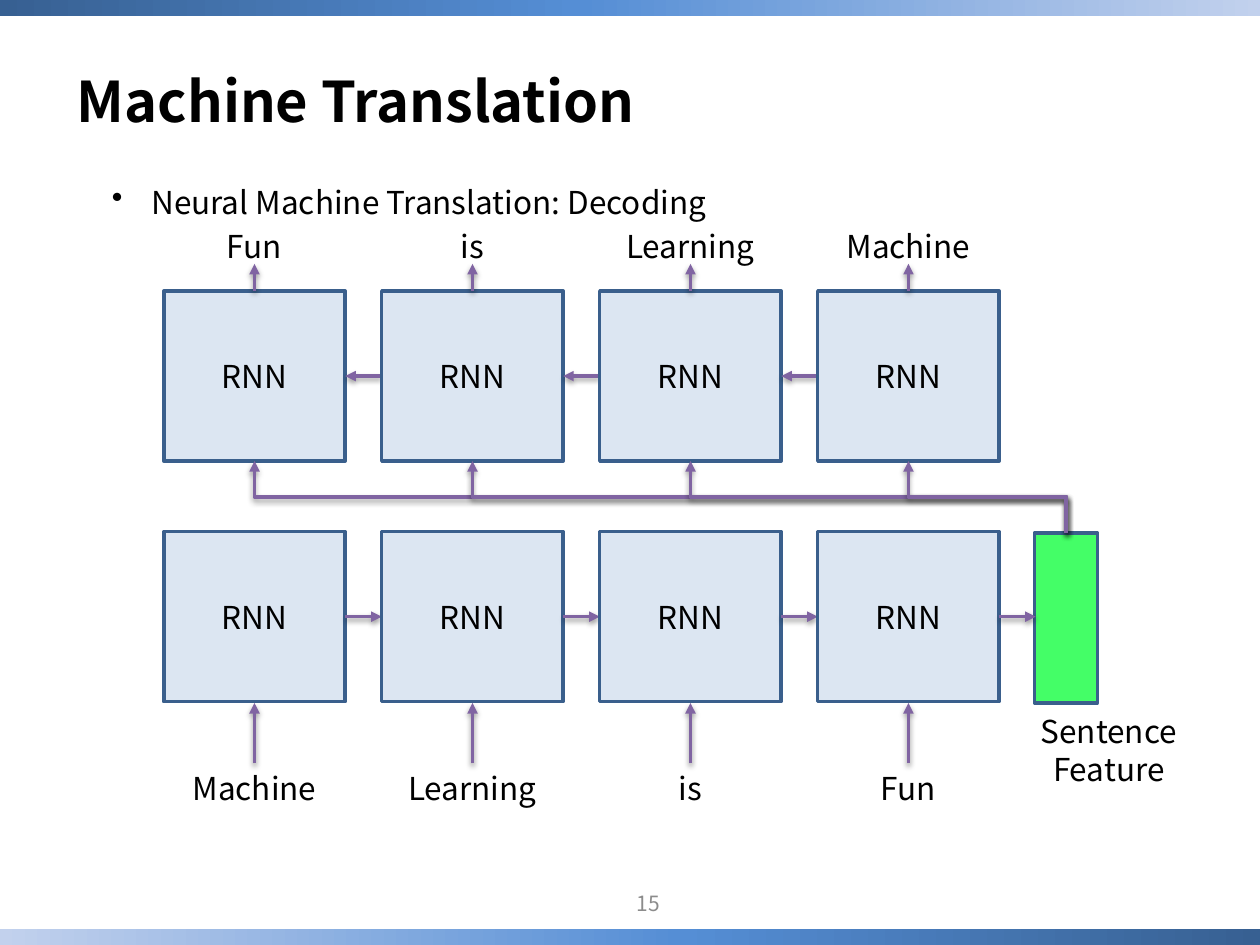
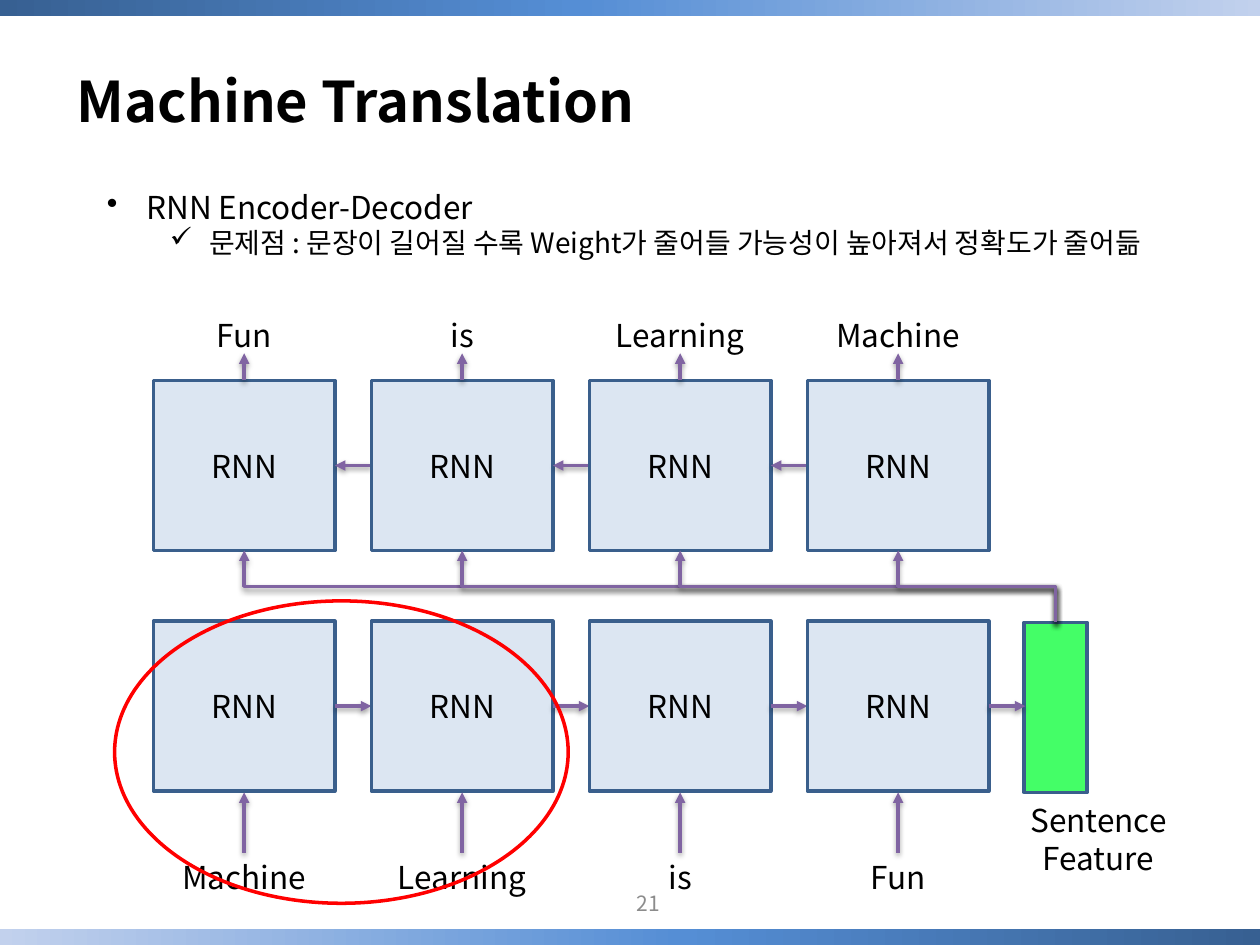
from copy import deepcopy

from lxml.etree import SubElement
from pptx import Presentation
from pptx.dml.color import RGBColor
from pptx.enum.shapes import MSO_CONNECTOR, MSO_SHAPE
from pptx.enum.text import MSO_ANCHOR, PP_ALIGN
from pptx.oxml.ns import qn
from pptx.util import Pt

FONT = "Noto Sans CJK KR"
BLACK, GREY, RED = "000000", "8C8C8C", "FF0000"
BOX_FILL, BOX_LINE, FEATURE_FILL = "DCE6F2", "3A5F8C", "44FE67"
ARROW = "8064A2"
BAND_STOPS = [(0, "376092"), (0.46, "558ED5"), (1, "C2D1ED")]

SENTENCE = ["Machine", "Learning", "is", "Fun"]
STEP = 124.56
BOX_WIDTH, BOX_HEIGHT = 103.68, 97.2
LABEL_WIDTH, LABEL_HEIGHT = 146.88, 29
ENCODER_DROP = 137.5
FEATURE_SHIFT, FEATURE_WIDTH = 497.5, 36


def color(hex_text):
    return RGBColor.from_string(hex_text)


def write(frame, lines, size=18, ink=BLACK, bold=False, align=PP_ALIGN.CENTER,
          anchor=MSO_ANCHOR.TOP):
    """Fill a text frame; each line becomes one paragraph."""
    frame.word_wrap = True
    frame.vertical_anchor = anchor
    for index, line in enumerate(lines):
        para = frame.add_paragraph() if index else frame.paragraphs[0]
        para.alignment = align
        span = para.add_run()
        span.text = line
        span.font.name, span.font.size, span.font.bold = FONT, Pt(size), bold
        span.font.color.rgb = color(ink)
        SubElement(span.font._element, qn("a:ea"), typeface=FONT)


def set_bullet(para, symbol, margin, hanging):
    properties = para._p.get_or_add_pPr()
    properties.set("marL", str(Pt(margin)))
    properties.set("indent", str(-Pt(hanging)))
    SubElement(properties, qn("a:buChar"), char=symbol)


class Lecture:
    def __init__(self):
        self.deck = Presentation()
        self.deck.slide_width, self.deck.slide_height = Pt(720), Pt(540)
        self.page = None

    def new_page(self, title, number):
        self.page = self.deck.slides.add_slide(self.deck.slide_layouts[5])
        if len(self.deck.slides) == 1:
            self.master_band(0)
            self.master_band(531, rotation=180)
        heading = self.page.shapes.title
        heading.left, heading.top = Pt(36.7), Pt(37.4)
        heading.width, heading.height = Pt(692), Pt(39.6)
        write(heading.text_frame, [title], size=32, bold=True,
              align=PP_ALIGN.LEFT, anchor=MSO_ANCHOR.MIDDLE)
        self.text([str(number)], 286.6, 501.8, 167.8, 28.8, size=12, ink=GREY,
                  anchor=MSO_ANCHOR.MIDDLE)

    def master_band(self, top, rotation=0):
        """Draw a gradient band and move it to the slide master."""
        band = self.shape(0, top, 720, 9)
        band.rotation = rotation
        band.fill.gradient()
        band.fill.gradient_angle = 0
        stop_list = band._element.spPr.find(".//" + qn("a:gsLst"))
        stop_list.append(deepcopy(stop_list[0]))
        for stop, (position, tint) in zip(band.fill.gradient_stops, BAND_STOPS):
            stop.position = position
            stop.color.rgb = color(tint)
        self.deck.slide_master.shapes._spTree.insert(2, band._element)

    def text(self, lines, left, top, width, height, **style):
        box = self.page.shapes.add_textbox(Pt(left), Pt(top), Pt(width), Pt(height))
        write(box.text_frame, lines, **style)
        return box.text_frame

    def shape(self, left, top, width, height, kind=MSO_SHAPE.RECTANGLE,
              fill=None, line=None, label=None):
        shape = self.page.shapes.add_shape(kind, Pt(left), Pt(top), Pt(width), Pt(height))
        shape.shadow.inherit = False
        if fill:
            shape.fill.solid()
            shape.fill.fore_color.rgb = color(fill)
        else:
            shape.fill.background()
        if line:
            shape.line.color.rgb = color(line)
            shape.line.width = Pt(2)
        else:
            shape.line.fill.background()
        if label:
            write(shape.text_frame, [label], anchor=MSO_ANCHOR.MIDDLE)
        return shape

    def arrow(self, x1, y1, x2, y2, kind=MSO_CONNECTOR.STRAIGHT):
        arrow = self.page.shapes.add_connector(kind, Pt(x1), Pt(y1), Pt(x2), Pt(y2))
        arrow.line.color.rgb = color(ARROW)
        arrow.line.width = Pt(2)
        SubElement(arrow.line._get_or_add_ln(), qn("a:tailEnd"), type="triangle")
        effects = SubElement(arrow._element.spPr, qn("a:effectLst"))
        shadow = SubElement(effects, qn("a:outerShdw"), blurRad=str(Pt(3.1)),
                            dist=str(Pt(1.6)), dir="5400000", rotWithShape="0")
        shade = SubElement(shadow, qn("a:srgbClr"), val=BLACK)
        SubElement(shade, qn("a:alpha"), val="38000")
        return arrow

    def rising_elbow(self, x1, y1, x2, y2):
        """Go up, left and up again: a sideways elbow turned by 270 degrees."""
        middle_x, middle_y = (x1 + x2) / 2, (y1 + y2) / 2
        half_rise, half_run = (y1 - y2) / 2, (x1 - x2) / 2
        elbow = self.arrow(middle_x - half_rise, middle_y + half_run,
                           middle_x + half_rise, middle_y - half_run,
                           MSO_CONNECTOR.ELBOW)
        elbow._element.spPr.find(qn("a:xfrm")).set("rot", "16200000")

    def bullets(self, lines, left, top, height):
        """Put a topic and, if given, a smaller checked remark below it."""
        frame = self.text(lines[:1], left, top, 609, height, align=PP_ALIGN.LEFT)
        topic = frame.paragraphs[0]
        topic.line_spacing = 1.5
        set_bullet(topic, "•", 22.5, 22.5)
        for line in lines[1:]:
            remark = frame.add_paragraph()
            remark.level = 1
            set_bullet(remark, "✓", 58.5, 22.5)
            span = remark.add_run()
            span.text = line
            span.font.name, span.font.size = FONT, Pt(16)
            span.font.color.rgb = color(BLACK)
            SubElement(span.font._element, qn("a:ea"), typeface=FONT)

    def translator(self, left, top):
        """Draw decoder above encoder; left and top place the first decoder box."""
        encoder_top = top + ENCODER_DROP
        feature_left = left + FEATURE_SHIFT
        feature_top = encoder_top + 0.7
        last = len(SENTENCE) - 1
        self.shape(feature_left, feature_top, FEATURE_WIDTH, BOX_HEIGHT,
                   fill=FEATURE_FILL, line=BOX_LINE)
        self.text(["Sentence", "Feature"], left + 466.6, top + 236.9, LABEL_WIDTH, 51)
        for column, (word, output) in enumerate(zip(SENTENCE, reversed(SENTENCE))):
            box_left = left + column * STEP
            center = box_left + BOX_WIDTH / 2
            label_left = center - LABEL_WIDTH / 2
            for row_top in (top, encoder_top):
                self.shape(box_left, row_top, BOX_WIDTH, BOX_HEIGHT,
                           fill=BOX_FILL, line=BOX_LINE, label="RNN")
            self.text([output], label_left, top - 40.3, LABEL_WIDTH, LABEL_HEIGHT)
            self.text([word], label_left, top + 269.3, LABEL_WIDTH, LABEL_HEIGHT)
            self.arrow(center, top, center, top - 15.5)
            self.arrow(center, top + 270, center, encoder_top + BOX_HEIGHT + 0.7)
            box_right, next_left = box_left + BOX_WIDTH, box_left + STEP
            encoder_middle = encoder_top + BOX_HEIGHT / 2
            self.arrow(box_right, encoder_middle, next_left, encoder_middle)
            if column < last:
                decoder_middle = top + BOX_HEIGHT / 2
                self.arrow(next_left, decoder_middle, box_right, decoder_middle)
            self.rising_elbow(feature_left + FEATURE_WIDTH / 2, feature_top,
                              center, top + BOX_HEIGHT)


def main():
    lecture = Lecture()

    lecture.new_page("Machine Translation", 15)
    lecture.bullets(["Neural Machine Translation: Decoding"], 56.9, 90, 323)
    lecture.translator(93.6, 166.3)

    lecture.new_page("Machine Translation", 21)
    lecture.bullets(["RNN Encoder-Decoder",
                     "문제점 : 문장이 길어질 수록 Weight가 줄어들 가능성이 높아져서 정확도가 줄어듦"],
                    54, 92.9, 78.5)
    lecture.translator(87.7, 217.4)
    lecture.shape(65.5, 343.4, 259.2, 172.8, kind=MSO_SHAPE.OVAL, line=RED)

    lecture.deck.save("out.pptx")


if __name__ == "__main__":
    main()
